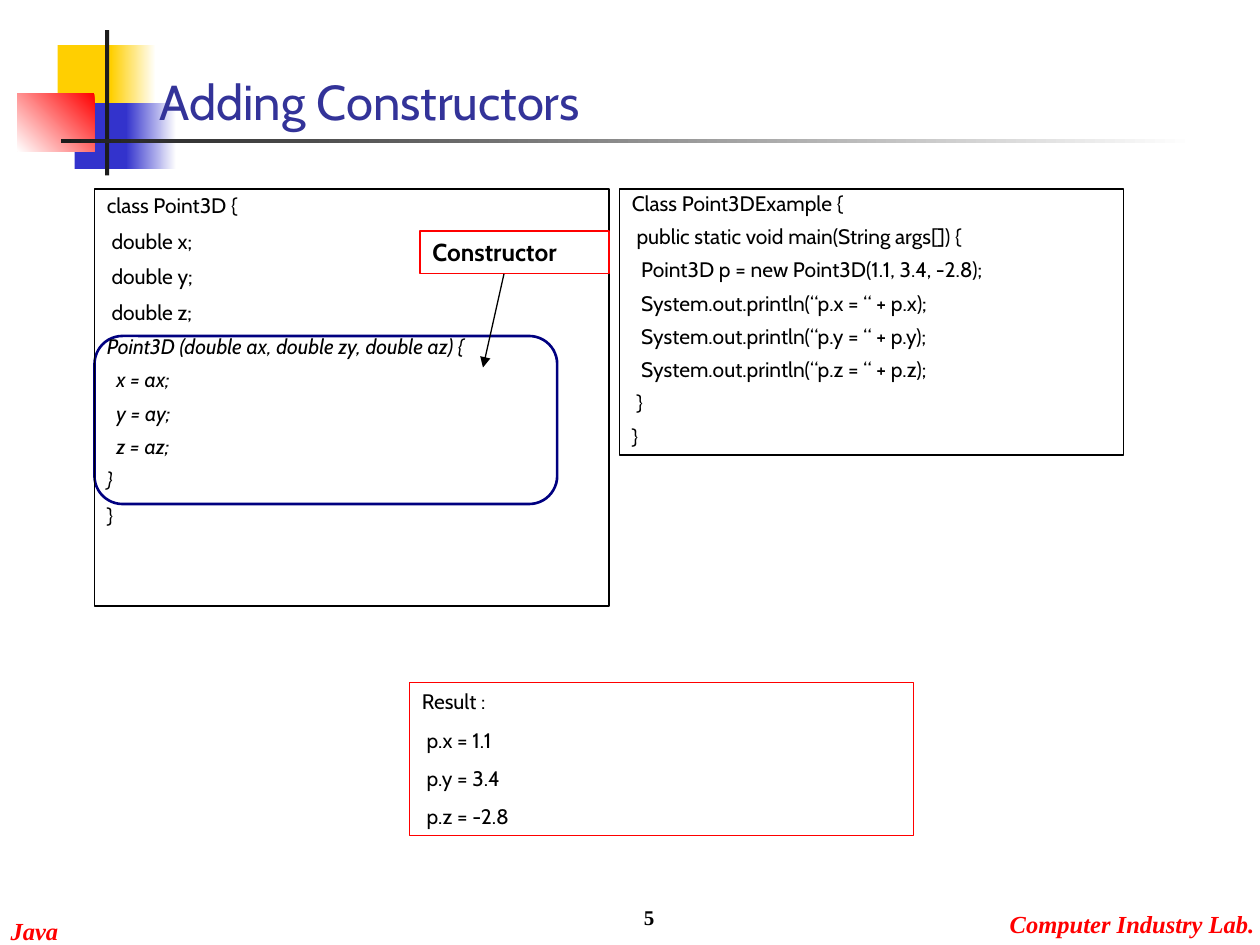
from lxml import etree
from pptx import Presentation
from pptx.dml.color import RGBColor
from pptx.enum import shapes, text
from pptx.oxml import ns
from pptx.util import Pt


def paint(target, color):
    if hasattr(target, "solid"):
        target.solid()
        target = target.fore_color
    elif hasattr(target, "color"):
        target = target.color
    target.rgb = RGBColor.from_string(color)


def write(frame, lines, size, color, font="Cabin", bold=False, before=0):
    for number, (line, spacing, italic) in enumerate(lines):
        paragraph = frame.paragraphs[0] if number == 0 else frame.add_paragraph()
        paragraph.alignment = text.PP_ALIGN.LEFT
        paragraph.line_spacing = spacing
        paragraph.space_before = Pt(before if number else 0)
        run = paragraph.add_run()
        run.text = line
        run.font.name = font
        run.font.size = Pt(size)
        run.font.bold = bold
        run.font.italic = italic
        paint(run.font, color)


deck = Presentation()
deck.slide_width, deck.slide_height = Pt(720), Pt(540)
slide = deck.slides.add_slide(deck.slide_layouts[5])
canvas = slide.shapes
RECT = shapes.MSO_SHAPE.RECTANGLE

ornaments = [
    (33, 25.8, 34.7, 37.5, ["FFCF01"], 0),
    (63.4, 25.8, 25.6, 37.5, ["FFFFFF", "FFCF01"], 180),
    (42.6, 59, 33, 37.5, ["3333CC"], 0),
    (72, 59, 28.8, 37.5, ["FFFFFF", "3333CC"], 180),
    (9.8, 53.2, 44.2, 33.2, ["FF0000", "FFFFFF"], 225),
    (60, 17.2, 2.4, 83, ["1C1C1C"], 0),
    (34.8, 79.6, 648, 2.4, ["FFFFFF", "1C1C1C"], 180),
]
for left, top, width, height, colors, angle in ornaments:
    ornament = canvas.add_shape(RECT, Pt(left), Pt(top), Pt(width), Pt(height))
    ornament.shadow.inherit = False
    ornament.line.fill.background()
    if len(colors) == 1:
        paint(ornament.fill, colors[0])
    else:
        ornament.fill.gradient()
        ornament.fill.gradient_angle = angle
        for stop, color in zip(ornament.fill.gradient_stops, colors):
            paint(stop, color)

footers = [
    ("Java", 6, 519.8, 35),
    ("Computer Industry Lab.", 577, 516, 143),
]
for label, left, top, width in footers:
    footer = canvas.add_textbox(Pt(left), Pt(top), Pt(width), Pt(20))
    footer.text_frame.word_wrap = True
    footer.text_frame.margin_left = footer.text_frame.margin_right = 0
    footer.text_frame.margin_bottom = 0
    write(footer.text_frame, [(label, 1, True)], 14, "FF0000", "Times New Roman", True)

title = canvas.title
canvas._spTree.append(title._element)
title.left, title.top, title.width, title.height = Pt(84), Pt(36), Pt(342), Pt(42)
title.text_frame.vertical_anchor = text.MSO_ANCHOR.BOTTOM
title.text_frame.auto_size = text.MSO_AUTO_SIZE.NONE
write(title.text_frame, [("Adding Constructors", 1, False)], 28, "333399")

highlight = canvas.add_shape(
    shapes.MSO_SHAPE.ROUNDED_RECTANGLE, Pt(54), Pt(192), Pt(264.4), Pt(96))
highlight.shadow.inherit = False
highlight.fill.background()
paint(highlight.line, "000080")
highlight.line.width = Pt(1.5)

fields = ["class Point3D {", " double x;", " double y;", " double z;"]
constructor = ["Point3D (double ax, double zy, double az) {",
               "  x = ax;", "  y = ay;", "  z = az;", "}"]
example = ["Class Point3DExample {",
           " public static void main(String args[]) {",
           "  Point3D p = new Point3D(1.1, 3.4, -2.8);",
           "  System.out.println(“p.x = “ + p.x);",
           "  System.out.println(“p.y = “ + p.y);",
           "  System.out.println(“p.z = “ + p.z);",
           " }", "}"]
result = ["Result :", " p.x = 1.1", " p.y = 3.4", " p.z = -2.8"]
class_lines = ([(line, 0.9, False) for line in fields]
               + [(line, 0.8, True) for line in constructor]
               + [("}", 0.9, False)])

panels = [
    (54, 108, 294, 238.3, "000000", class_lines, 12, False),
    (354, 108, 288, 152, "000000", [(line, 0.8, False) for line in example], 12, False),
    (234, 390, 288, 87.5, "FF0000", [(line, 1, False) for line in result], 12, False),
    (240, 132, 108, 24.5, "FF0000", [("Constructor", 1, False)], 14, True),
]
for left, top, width, height, border, lines, size, bold in panels:
    panel = canvas.add_shape(RECT, Pt(left), Pt(top), Pt(width), Pt(height))
    panel.shadow.inherit = False
    panel.fill.background()
    paint(panel.line, border)
    panel.line.width = Pt(0.75)
    panel.text_frame.word_wrap = True
    panel.text_frame.vertical_anchor = text.MSO_ANCHOR.TOP
    write(panel.text_frame, lines, size, "000000", bold=bold, before=7.5)

pointer = canvas.add_connector(
    shapes.MSO_CONNECTOR.STRAIGHT, Pt(288), Pt(156.5), Pt(276), Pt(210))
paint(pointer.line, "000000")
pointer.line.width = Pt(0.75)
etree.SubElement(pointer.line._get_or_add_ln(), ns.qn("a:tailEnd"), type="triangle")
etree.SubElement(pointer._element.spPr, ns.qn("a:effectLst"))

page = canvas.add_textbox(Pt(231), Pt(499), Pt(150), Pt(36))
page.text_frame.word_wrap = True
page.text_frame.vertical_anchor = text.MSO_ANCHOR.BOTTOM
write(page.text_frame, [("5", 1, False)], 12, "000000", "Times New Roman", True)
page.text_frame.paragraphs[0].alignment = text.PP_ALIGN.RIGHT

deck.save("out.pptx")
